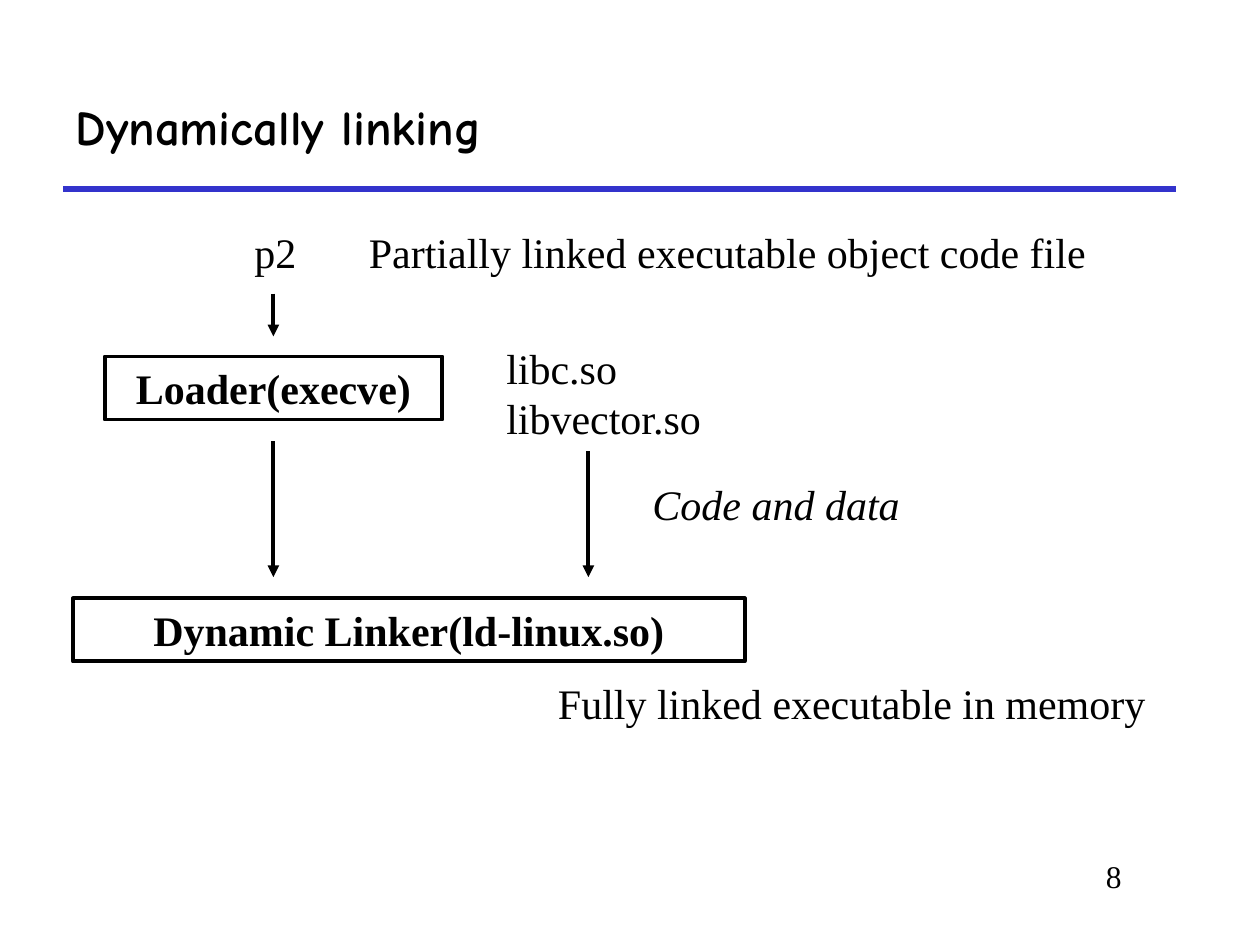
"""Build a slide on dynamic linking, from partially linked file to memory."""
from lxml.etree import SubElement
from pptx import Presentation
from pptx.dml.color import RGBColor
from pptx.enum.shapes import MSO_CONNECTOR, MSO_SHAPE
from pptx.enum.text import MSO_ANCHOR, PP_ALIGN
from pptx.oxml.ns import qn
from pptx.util import Inches, Pt

BLACK = RGBColor(0x00, 0x00, 0x00)
BLUE = RGBColor(0x33, 0x33, 0xCC)


def write(shape, text, font="Times New Roman", size=24, bold=False, italic=False,
          align=PP_ALIGN.LEFT, anchor=MSO_ANCHOR.TOP, wrap=True):
    frame = shape.text_frame
    frame.text = text
    frame.word_wrap = wrap
    frame.vertical_anchor = anchor
    for paragraph in frame.paragraphs:
        paragraph.alignment = align
        style = paragraph.runs[0].font
        style.name, style.size = font, Pt(size)
        style.bold, style.italic = bold, italic
        style.color.rgb = BLACK


def draw_line(x1, y1, x2, y2, color=BLACK, width=2.25, arrow=True):
    connector = slide.shapes.add_connector(
        MSO_CONNECTOR.STRAIGHT, Inches(x1), Inches(y1), Inches(x2), Inches(y2))
    connector.line.color.rgb = color
    connector.line.width = Pt(width)
    if arrow:
        SubElement(connector.line._get_or_add_ln(), qn("a:tailEnd"), type="triangle")
    SubElement(connector._element.spPr, qn("a:effectLst"))


prs = Presentation()
prs.slide_width, prs.slide_height = Inches(10), Inches(7.5)
slide = prs.slides.add_slide(prs.slide_layouts[5])

title = slide.shapes.title
title.left, title.top = Inches(0.5), Inches(0.5)
title.width, title.height = Inches(8.83), Inches(1)
write(title, "Dynamically linking", font="Comic Neue", size=28, bold=True,
      anchor=MSO_ANCHOR.MIDDLE)
draw_line(0.5, 1.5, 9.33, 1.5, color=BLUE, width=3, arrow=False)

labels = [
    ("p2", 1.92, 1.75, 0.53, 0.5, {"wrap": False}),
    ("Partially linked executable object code file", 2.83, 1.75, 6.67, 0.5, {}),
    ("libc.so\nlibvector.so", 3.92, 2.67, 1.83, 0.9, {}),
    ("Code and data", 5.08, 3.75, 2.75, 0.5, {"italic": True}),
    ("Fully linked executable in memory", 4.33, 5.33, 5.25, 0.5, {}),
    ("8", 7.58, 6.75, 1.42, 0.5, {"size": 18, "align": PP_ALIGN.RIGHT}),
]
for text, left, top, width, height, style in labels:
    label = slide.shapes.add_textbox(
        Inches(left), Inches(top), Inches(width), Inches(height))
    write(label, text, **style)

stages = [
    ("Loader(execve)", 0.83, 2.83, 2.68),
    ("Dynamic Linker(ld-linux.so)", 0.58, 4.75, 5.33),
]
for text, left, top, width in stages:
    stage = slide.shapes.add_shape(
        MSO_SHAPE.RECTANGLE, Inches(left), Inches(top), Inches(width), Inches(0.5))
    stage.shadow.inherit = False
    stage.fill.background()
    stage.line.color.rgb = BLACK
    stage.line.width = Pt(2.25)
    write(stage, text, bold=True, align=PP_ALIGN.CENTER)

for x, start, end in [(2.17, 2.33, 2.67), (2.17, 3.5, 4.58), (4.67, 3.58, 4.58)]:
    draw_line(x, start, x, end)

prs.save("out.pptx")
